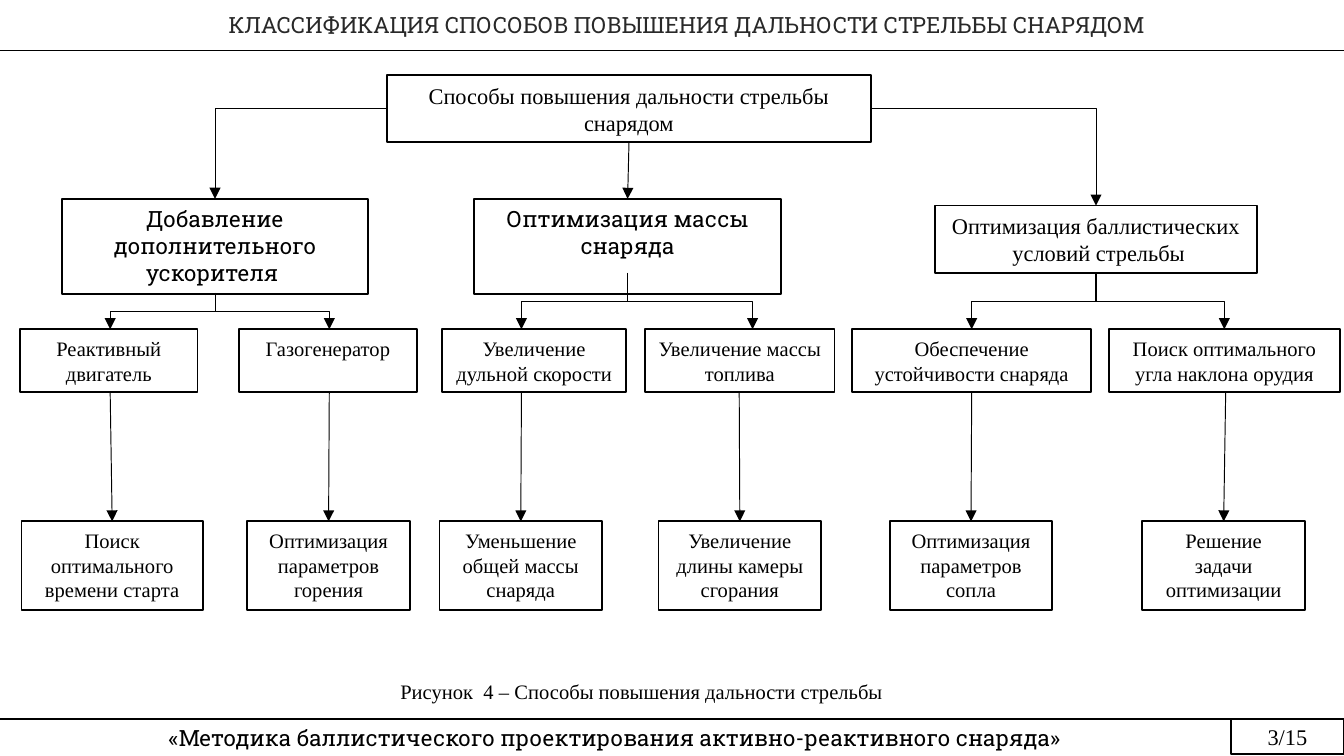
from typing import NamedTuple

from lxml import etree
from pptx import Presentation
from pptx import util as u
from pptx.dml.color import RGBColor
from pptx.enum import shapes, text
from pptx.oxml import ns

SLIDE_W = u.Inches(10)
SLIDE_H = u.Emu(SLIDE_W * 9 // 16)
CELL = SLIDE_W / 100
SERIF, SLAB = "Times New Roman", "Roboto Slab"
BLACK, WHITE = "000000", "FFFFFF"
METHOD_ROW, METHOD_H = 24.5, 4.7
TASK_ROW, TASK_H = 38.8, 6.6
ROOT = (28.8, 5.6, 36, 5)


class Method(NamedTuple):
    left: float
    width: float
    label: str
    drop: float
    stem: float
    task_left: float
    task_width: float
    task: str


class Branch(NamedTuple):
    head: tuple
    label: str
    font: str
    split: float
    methods: tuple


BRANCHES = (
    Branch((4.6, 14.8, 22.8, 7.1), "Добавление дополнительного ускорителя ", SLAB, 21.8, (
        Method(1.5, 13.2, "Реактивный двигатель", 8.2, 8.2,
               1.6, 13.5, "Поиск оптимального времени старта"),
        Method(17.8, 13.2, "Газогенератор", 24.5, 24.5,
               18.4, 12.1, "Оптимизация параметров горения"))),
    Branch((35.3, 14.8, 22.8, 7.1), "Оптимизация массы снаряда", SLAB, 20.3, (
        Method(32.9, 13.7, "Увеличение дульной скорости", 38.8, 38.8,
               32.7, 12.1, "Уменьшение общей массы снаряда"),
        Method(48, 14.1, "Увеличение массы топлива", 56, 55,
               49, 12.1, "Увеличение длины камеры сгорания"))),
    Branch((69.6, 15.3, 23.9, 5), "Оптимизация баллистических\n условий стрельбы", SERIF, 20.3, (
        Method(63.4, 17.8, "Обеспечение устойчивости снаряда", 72.3, 72.3,
               66.2, 12.1, "Оптимизация параметров сопла"),
        Method(82.5, 17.2, "Поиск оптимального угла наклона орудия", 91.1, 91.2,
               85, 12.1, "Решение задачи оптимизации"))),
)


def cells(*counts):
    return [u.Emu(round(n * CELL)) for n in counts]


def color(code):
    return RGBColor.from_string(code)


def write(sp, label, size, font=SERIF, ink=BLACK, align=text.PP_ALIGN.CENTER,
          anchor=text.MSO_ANCHOR.TOP, insets=(1, 0.5), grow=True):
    tf = sp.text_frame
    tf.word_wrap = True
    tf.vertical_anchor = anchor
    tf.margin_left = tf.margin_right = cells(insets[0])[0]
    tf.margin_top = tf.margin_bottom = cells(insets[1])[0]
    fit = text.MSO_AUTO_SIZE
    tf.auto_size = fit.SHAPE_TO_FIT_TEXT if grow else fit.NONE
    for i, line in enumerate(label.split("\n")):
        p = tf.add_paragraph() if i else tf.paragraphs[0]
        p.alignment = align
        r = p.add_run()
        r.text = line
        r.font.size = u.Pt(size)
        r.font.name = font
        r.font.bold = False
        r.font.color.rgb = color(ink)
    return tf.paragraphs[0]


def add_box(slide, at, label, size, font=SERIF, weight=1, **style):
    sp = slide.shapes.add_shape(shapes.MSO_SHAPE.RECTANGLE, *cells(*at))
    sp.shadow.inherit = False
    sp.fill.solid()
    sp.fill.fore_color.rgb = color(WHITE)
    sp.line.color.rgb = color(BLACK)
    sp.line.width = u.Pt(weight)
    write(sp, label, size, font, **style)


def add_label(slide, at, label, size, **style):
    sp = slide.shapes.add_textbox(*cells(*at))
    return write(sp, label, size, **style)


def add_line(slide, start, end, weight=0.5, arrow=True, kind=shapes.MSO_CONNECTOR.STRAIGHT):
    cx = slide.shapes.add_connector(kind, *cells(*start, *end))
    cx.line.color.rgb = color(BLACK)
    cx.line.width = u.Pt(weight)
    if arrow:
        ln = cx._element.spPr.find(ns.qn("a:ln"))
        etree.SubElement(ln, ns.qn("a:tailEnd"), type="triangle")
    etree.SubElement(cx._element.spPr, ns.qn("a:effectLst"))
    return cx


def add_corner(slide, start, end):
    cx = add_line(slide, start, end, kind=shapes.MSO_CONNECTOR.ELBOW)
    cx._element.spPr.find(ns.qn("a:prstGeom")).set("prst", "bentConnector2")


def add_fork(slide, start, end):
    (x1, y1), (x2, y2) = start, end
    mid_x, mid_y = (x1 + x2) / 2, (y1 + y2) / 2
    drop, reach = y2 - y1, abs(x2 - x1)
    left, top = mid_x - drop / 2, mid_y - reach / 2
    cx = add_line(slide, (left, top), (left + drop, top + reach),
                  kind=shapes.MSO_CONNECTOR.ELBOW)
    xfrm = cx._element.spPr.find(ns.qn("a:xfrm"))
    xfrm.set("rot", str((90 if x2 < x1 else 270) * 60000))
    if x2 > x1:
        xfrm.set("flipH", "1")


def add_title(slide):
    sp = slide.shapes.title
    sp.left, sp.top, sp.width, sp.height = cells(0, 0, 100, 3.7)
    sp.fill.solid()
    sp.fill.fore_color.rgb = color(WHITE)
    p = write(sp, "КЛАССИФИКАЦИЯ СПОСОБОВ ПОВЫШЕНИЯ ДАЛЬНОСТИ СТРЕЛЬБЫ СНАРЯДОМ", 12,
              SLAB, "292929", anchor=text.MSO_ANCHOR.MIDDLE, insets=(0.1, 0.1), grow=False)
    p._p.get_or_add_pPr().set("indent", str(cells(2.2)[0]))
    add_line(slide, (0, 3.75), (100, 3.75), 0.75, False)


def add_footer(slide):
    middle = dict(anchor=text.MSO_ANCHOR.MIDDLE, insets=(0.7, 0.4))
    add_line(slide, (0, 53.5), (91.8, 53.5), 0.75, False)
    add_box(slide, (91.6, 53.5, 8.4, 2.6), "3/15", 12, weight=0.75, grow=False, **middle)
    p = add_label(slide, (0, 53.5, 91.5, 2.8),
                  "«Методика баллистического проектирования активно-реактивного снаряда»",
                  12, font=SLAB, **middle)
    p.space_after = u.Pt(4.5)


def add_branch(slide, branch):
    left, top, width, height = branch.head
    center = left + width / 2
    add_box(slide, branch.head, branch.label, 12, branch.font)
    for m in branch.methods:
        add_box(slide, (m.left, METHOD_ROW, m.width, METHOD_H), m.label, 11)
        add_box(slide, (m.task_left, TASK_ROW, m.task_width, TASK_H), m.task, 11)
        add_fork(slide, (center, branch.split), (m.drop, METHOD_ROW))
        add_line(slide, (m.stem, METHOD_ROW + METHOD_H),
                 (m.task_left + m.task_width / 2, TASK_ROW))
    return center, top


def add_tree(slide):
    left, top, width, height = ROOT
    add_box(slide, ROOT, "Способы повышения дальности стрельбы снарядом", 12)
    first, middle, last = [add_branch(slide, b) for b in BRANCHES]
    side = top + height / 2
    add_corner(slide, (left, side), first)
    add_line(slide, (left + width / 2, top + height), middle)
    add_corner(slide, (left + width, side), last)


def main():
    prs = Presentation()
    prs.slide_width, prs.slide_height = SLIDE_W, SLIDE_H
    slide = prs.slides.add_slide(prs.slide_layouts[5])
    add_title(slide)
    add_tree(slide)
    add_label(slide, (28.8, 50, 50.8, 2.9), "Рисунок  4 – Способы повышения дальности стрельбы",
              11, align=text.PP_ALIGN.LEFT)
    add_footer(slide)
    prs.save("out.pptx")


main()
